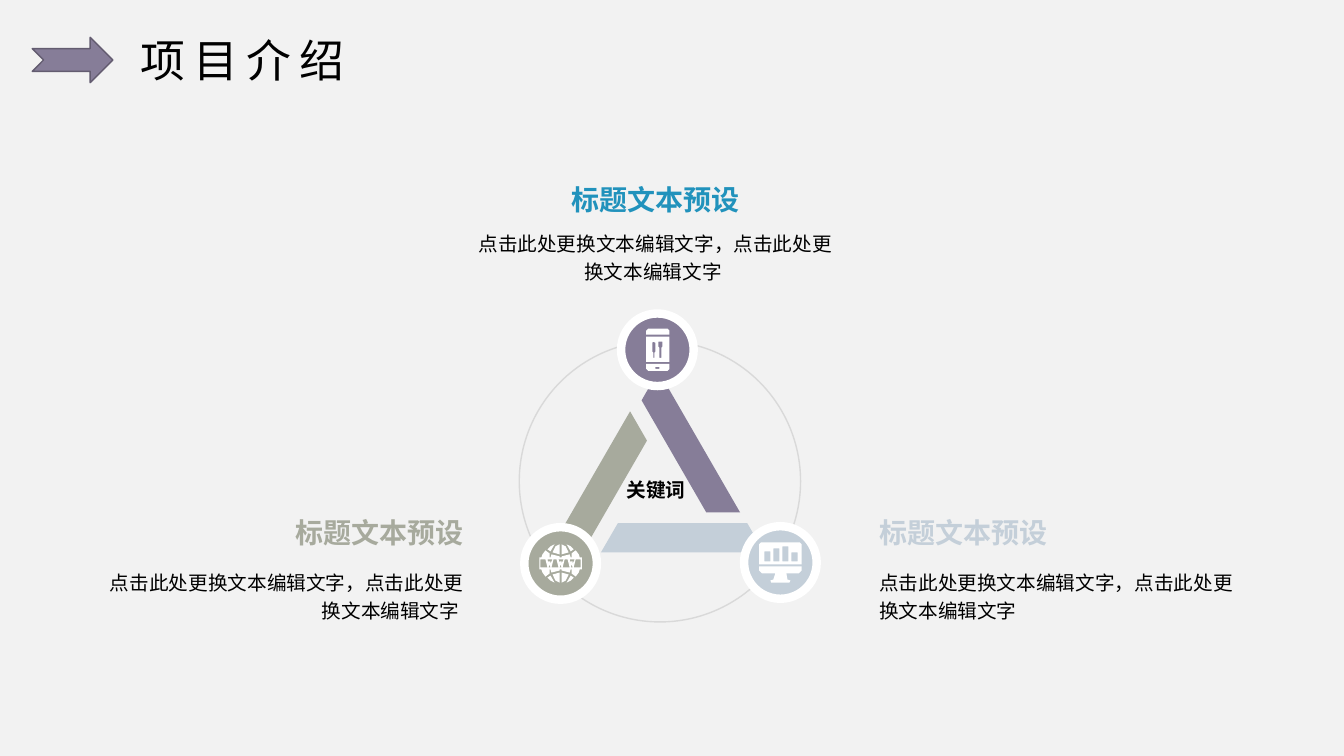
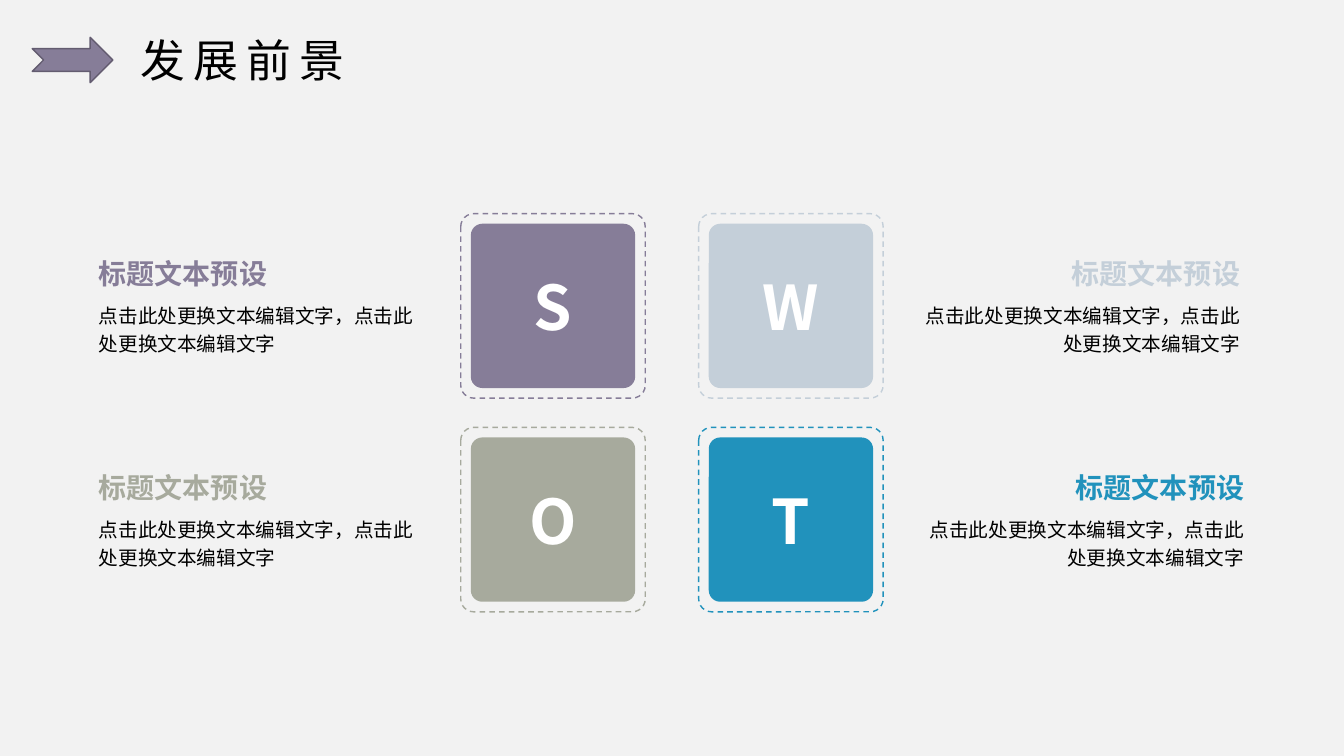
from dataclasses import dataclass

from lxml import etree
from pptx import Presentation
from pptx.dml.color import RGBColor
from pptx.enum.dml import MSO_LINE
from pptx.enum.shapes import MSO_SHAPE
from pptx.enum.text import MSO_ANCHOR, MSO_AUTO_SIZE, PP_ALIGN
from pptx.oxml.ns import qn
from pptx.util import Inches, Pt

LEFT, CENTER, RIGHT = PP_ALIGN.LEFT, PP_ALIGN.CENTER, PP_ALIGN.RIGHT
MIDDLE = MSO_ANCHOR.MIDDLE
NO_AUTOFIT = MSO_AUTO_SIZE.NONE
DASH = MSO_LINE.DASH
ROUNDED = MSO_SHAPE.ROUNDED_RECTANGLE
ELLIPSE = MSO_SHAPE.OVAL
TRAPEZOID = MSO_SHAPE.TRAPEZOID
ARROW = MSO_SHAPE.NOTCHED_RIGHT_ARROW

TITLE_ONLY = 5
HEADING_TEXT = "标题文本预设"
BODY_TEXT = "点击此处更换文本编辑文字，点击此处更换文本编辑文字"


@dataclass(frozen=True)
class Theme:
    font: str = "Noto Sans CJK SC"
    background: str = "F2F2F2"
    text: str = "000000"
    white: str = "FFFFFF"
    purple: str = "867D98"
    purple_dark: str = "635C70"
    mist: str = "C4CFD9"
    sage: str = "A7AA9D"
    blue: str = "2192BC"
    ring: str = "D9D9D9"
    title_size: int = 32
    title_spacing: int = 6
    heading_size: int = 20
    body_size: int = 14
    letter_size: int = 44


THEME = Theme()


def rgb(colour):
    return RGBColor.from_string(colour)


def write_text(frame, text, size, colour, align=LEFT, bold=False, spacing=0):
    """Fill a frame with one formatted paragraph, centred vertically."""
    frame.word_wrap = True
    frame.vertical_anchor = MIDDLE
    frame.text = text
    para = frame.paragraphs[0]
    para.alignment = align
    span = para.runs[0]
    span.font.size = Pt(size)
    span.font.bold = bold
    span.font.name = THEME.font
    span.font.color.rgb = rgb(colour)
    properties = span._r.get_or_add_rPr()
    etree.SubElement(properties, qn("a:ea")).set("typeface", THEME.font)
    if spacing:
        properties.set("spc", str(spacing * 100))
    return para


def paint(shape, fill=None, line=None, line_width=1):
    shape.shadow.inherit = False
    if fill:
        shape.fill.solid()
        shape.fill.fore_color.rgb = rgb(fill)
    else:
        shape.fill.background()
    if line:
        shape.line.color.rgb = rgb(line)
        shape.line.width = Pt(line_width)
    else:
        shape.line.fill.background()
    return shape


def add_shape(slide, kind, box, fill=None, line=None, line_width=1, adjust=None):
    """Add a preset shape; box is left, top, width, height in inches."""
    shape = slide.shapes.add_shape(kind, *map(Inches, box))
    if adjust is not None:
        shape.adjustments[0] = adjust
    return paint(shape, fill, line, line_width)


def add_icon(slide, contours):
    """Add one white freeform; a contour inside another one is a hole."""
    outlines = [[(Inches(x), Inches(y)) for x, y in points] for points in contours]
    builder = slide.shapes.build_freeform(*outlines[0][0])
    for index, outline in enumerate(outlines):
        if index:
            builder.move_to(*outline[0])
        builder.add_line_segments(outline[1:], close=True)
    paint(builder.convert_to_shape(), THEME.white)


def block(left, top, width, height):
    """Return the corners of a rectangle."""
    right, bottom = left + width, top + height
    return [(left, top), (right, top), (right, bottom), (left, bottom)]


def phone_contours():
    return [
        [(6.41, 3.32), (6.41, 3.28), (6.43, 3.26), (6.62, 3.26), (6.64, 3.28), (6.64, 3.32)],
        block(6.41, 3.34, 0.23, 0.25),
        [(6.41, 3.61), (6.64, 3.61), (6.64, 3.66), (6.62, 3.68), (6.43, 3.68), (6.41, 3.66)],
        block(6.5, 3.64, 0.04, 0.02),
        [(6.48, 3.39), (6.5, 3.4), (6.5, 3.49), (6.49, 3.5), (6.49, 3.55),
         (6.48, 3.55), (6.48, 3.5), (6.47, 3.49), (6.47, 3.4)],
        [(6.53, 3.39), (6.57, 3.39), (6.57, 3.44), (6.56, 3.45), (6.56, 3.55),
         (6.54, 3.55), (6.54, 3.45), (6.53, 3.44)],
    ]


def globe_contours():
    middle_x, middle_y = 5.56, 5.59
    quarter = [
        [(0.06, 0.19), (0.1, 0.12), (0.13, 0.14), (0.1, 0.17)],
        [(0.01, 0.19), (0.01, 0.09), (0.08, 0.11), (0.05, 0.17)],
        [(0.01, 0.07), (0.01, 0.06), (0.1, 0.06), (0.09, 0.09)],
        [(0.15, 0.13), (0.11, 0.1), (0.11, 0.06), (0.19, 0.06), (0.18, 0.09)],
    ]
    letter_w = [(0, 0), (0.02, 0), (0.03, 0.04), (0.03, 0.02), (0.05, 0.02),
                (0.05, 0.04), (0.07, 0), (0.08, 0), (0.06, 0.08), (0.05, 0.08),
                (0.04, 0.05), (0.03, 0.08), (0.02, 0.08)]
    contours = [[(middle_x + across * x, middle_y + down * y) for x, y in points]
                for across in (-1, 1) for down in (-1, 1) for points in quarter]
    contours += [block(5.35, 5.53, 0.42, 0.12), block(5.36, 5.55, 0.4, 0.08)]
    contours += [[(left + x, 5.55 + y) for x, y in letter_w] for left in (5.41, 5.52, 5.63)]
    return contours


def monitor_contours():
    bars = [block(7.58 + index * 0.09, 5.57 - height, 0.06, height)
            for index, height in enumerate((0.1, 0.13, 0.15, 0.09))]
    return [
        [(7.53, 5.6), (7.53, 5.4), (7.55, 5.38), (7.93, 5.38), (7.95, 5.4), (7.95, 5.6)],
        *bars,
        [(7.53, 5.62), (7.95, 5.62), (7.95, 5.66), (7.92, 5.69), (7.8, 5.69),
         (7.81, 5.75), (7.84, 5.76), (7.83, 5.78), (7.65, 5.78), (7.64, 5.76),
         (7.67, 5.75), (7.69, 5.69), (7.56, 5.69), (7.53, 5.66)],
    ]


def add_text(slide, box, text, size, colour, align, bold=False):
    frame = slide.shapes.add_textbox(*map(Inches, box)).text_frame
    frame.margin_left = frame.margin_right = 0
    frame.margin_top = frame.margin_bottom = 0
    return write_text(frame, text, size, colour, align, bold)


def add_caption(slide, left, top, width, gap, colour, align, body=BODY_TEXT):
    """Add a coloured heading with its body text below the gap."""
    heading_height, body_height = 0.34, 0.66
    add_text(slide, (left, top, width, heading_height), HEADING_TEXT,
             THEME.heading_size, colour, align, bold=True)
    body_box = (left, top + heading_height + gap, width, body_height)
    para = add_text(slide, body_box, body, THEME.body_size, THEME.text, align)
    para.line_spacing = 1.2


def add_titled_slide(deck, title):
    slide = deck.slides.add_slide(deck.slide_layouts[TITLE_ONLY])
    add_shape(slide, ARROW, (0.32, 0.37, 0.8, 0.45), THEME.purple, THEME.purple_dark)
    write_text(slide.shapes.title.text_frame, title, THEME.title_size,
               THEME.text, spacing=THEME.title_spacing)
    return slide


def build_introduction(deck):
    slide = add_titled_slide(deck, "项目介绍")
    add_shape(slide, ELLIPSE, (5.15, 3.38, 2.79, 2.79), line=THEME.ring)

    sides = [(6, 4.31, 240, THEME.purple), (5.96, 5.19, 0, THEME.mist),
             (5.16, 4.71, 120, THEME.sage)]
    for left, top, rotation, colour in sides:
        side = add_shape(slide, TRAPEZOID, (left, top, 1.62, 0.29), colour, adjust=0.58)
        side.rotation = rotation

    nodes = [(6.16, 3.11, THEME.purple, phone_contours()),
             (5.2, 5.23, THEME.sage, globe_contours()),
             (7.38, 5.22, THEME.mist, monitor_contours())]
    for left, top, colour, contours in nodes:
        add_shape(slide, ELLIPSE, (left, top, 0.72, 0.72), colour, THEME.white, 6)
        add_icon(slide, contours)

    spaced_body = BODY_TEXT + " "
    add_caption(slide, 4.7, 1.81, 3.6, 0.05, THEME.blue, CENTER, spaced_body)
    add_caption(slide, 1, 5.11, 3.6, 0.12, THEME.sage, RIGHT, spaced_body)
    add_caption(slide, 8.72, 5.11, 3.6, 0.12, THEME.mist, LEFT)
    add_text(slide, (5.68, 4.54, 1.65, 0.64), "关键词", THEME.body_size,
             THEME.text, CENTER, bold=True)


def add_letter_tile(slide, left, top, letter, colour):
    """Add a filled tile with a letter inside a dashed frame."""
    frame_size, tile_size, inset = 1.83, 1.63, 0.1
    tile = add_shape(slide, ROUNDED, (left + inset, top + inset, tile_size, tile_size),
                     colour, adjust=0.07)
    write_text(tile.text_frame, letter, THEME.letter_size, THEME.white, CENTER, bold=True)
    frame = add_shape(slide, ROUNDED, (left, top, frame_size, frame_size),
                      line=colour, adjust=0.07)
    frame.line.dash_style = DASH


def build_prospects(deck):
    slide = add_titled_slide(deck, "发展前景")
    tiles = [("S", THEME.purple, 0.98, LEFT), ("W", THEME.mist, 9.13, RIGHT),
             ("O", THEME.sage, 0.98, LEFT), ("T", THEME.blue, 9.17, RIGHT)]
    for index, (letter, colour, caption_left, align) in enumerate(tiles):
        row, column = divmod(index, 2)
        top = 2.12 + row * 2.12
        add_letter_tile(slide, 4.57 + column * 2.36, top, letter, colour)
        add_caption(slide, caption_left, top + 0.42, 3.17, 0.04, colour, align)


def set_up_master(deck):
    """Set the background and the title position that all slides share."""
    background = deck.slide_master.background.fill
    background.solid()
    background.fore_color.rgb = rgb(THEME.background)
    for title in deck.slide_layouts[TITLE_ONLY].placeholders:
        if title.placeholder_format.idx == 0:
            title.left, title.top = Inches(1.29), Inches(0.27)
            title.width, title.height = Inches(3.97), Inches(0.64)
            title.text_frame.auto_size = NO_AUTOFIT


def main():
    deck = Presentation()
    deck.slide_width, deck.slide_height = Inches(13.33), Inches(7.5)
    set_up_master(deck)
    build_introduction(deck)
    build_prospects(deck)
    deck.save("out.pptx")


if __name__ == "__main__":
    main()
